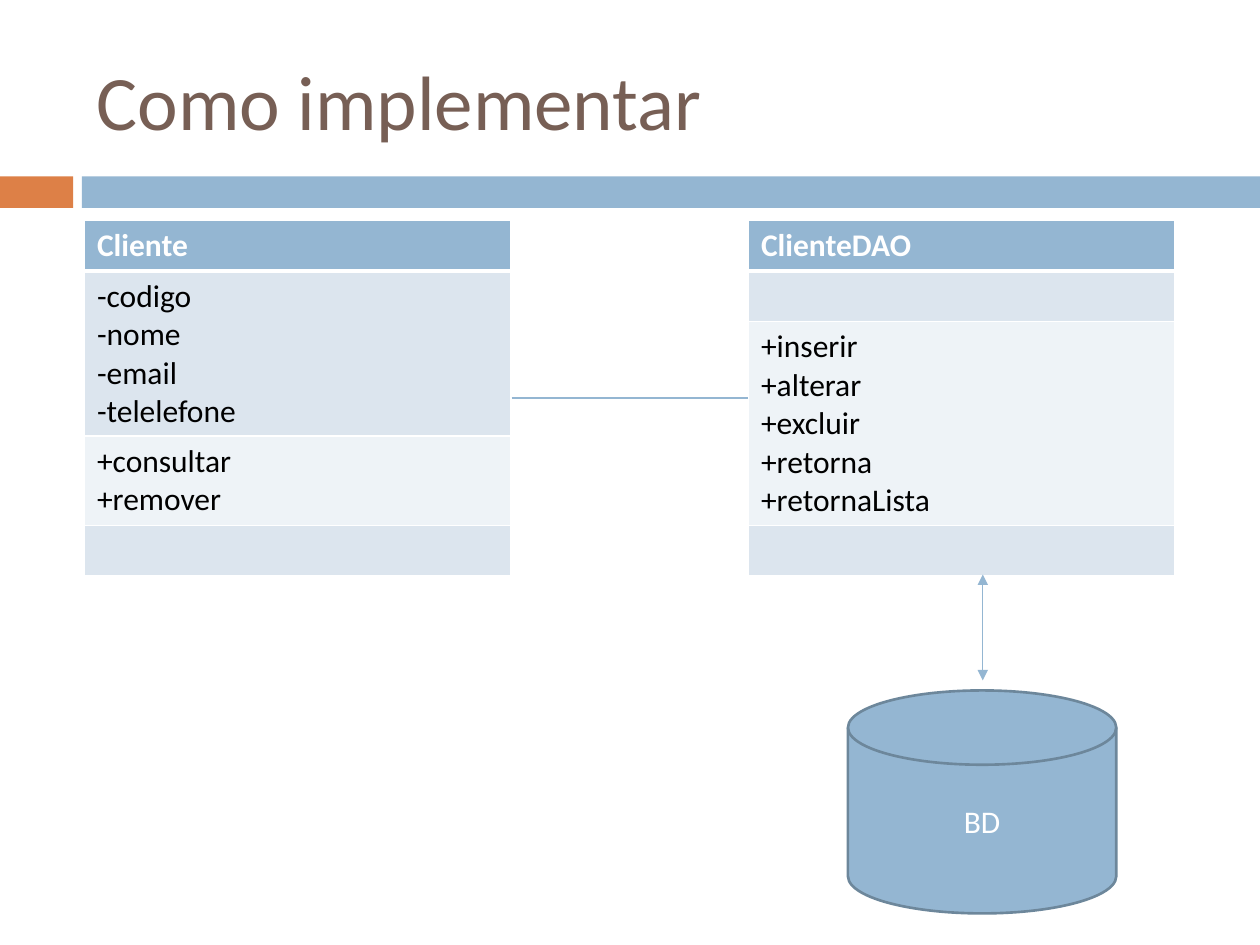
import dataclasses
import pptx
import pptx.util
import pptx.dml.color
import pptx.enum.shapes
import pptx.enum.text
import pptx.oxml
import pptx.oxml.ns

Inches = pptx.util.Inches
Pt = pptx.util.Pt
Color = pptx.dml.color.RGBColor.from_string
Shape = pptx.enum.shapes.MSO_SHAPE
Align = pptx.enum.text.PP_ALIGN
Anchor = pptx.enum.text.MSO_ANCHOR
NS = pptx.oxml.ns.nsdecls("a")


@dataclasses.dataclass(frozen=True)
class Theme:
    font: str = "Calibri"
    title: int = 44
    body: int = 18
    brown: str = "775F55"
    orange: str = "DD8047"
    blue: str = "94B6D2"
    edge: str = "6D879B"
    band: str = "DCE5EE"
    pale: str = "EEF3F7"
    white: str = "FFFFFF"
    black: str = "000000"


theme = Theme()


def write(frame, text, size=theme.body, color=theme.black, bold=False, align=Align.LEFT):
    frame.word_wrap = True
    frame.vertical_anchor = Anchor.MIDDLE
    for i, line in enumerate(text.split("\n")):
        para = frame.paragraphs[0] if i == 0 else frame.add_paragraph()
        para.text = line
        para.alignment = align
        para.font.name = theme.font
        para.font.size = Pt(size)
        para.font.bold = bold
        para.font.color.rgb = Color(color)


def draw(kind, left, top, width, height, fill):
    shape = slide.shapes.add_shape(kind, Inches(left), Inches(top), Inches(width), Inches(height))
    shape.shadow.inherit = False
    shape.fill.solid()
    shape.fill.fore_color.rgb = Color(fill)
    shape.line.fill.background()
    return shape


deck = pptx.Presentation()
deck.slide_width = Inches(10)
deck.slide_height = Inches(7.5)
slide = deck.slides.add_slide(deck.slide_layouts[6])

draw(Shape.RECTANGLE, 0, 1.4, 0.58, 0.25, theme.orange)
draw(Shape.RECTANGLE, 0.65, 1.4, 9.35, 0.25, theme.blue)

title = slide.shapes.add_textbox(Inches(0.67), Inches(0.25), Inches(8.92), Inches(1.08))
write(title.text_frame, "Como implementar", size=theme.title, color=theme.brown)

tables = [
    (0.67, [
        ("Cliente", 0.4),
        ("-codigo\n-nome\n-email\n-telelefone", 1.31),
        ("+consultar\n+remover", 0.71),
        ("", 0.4),
    ]),
    (5.94, [
        ("ClienteDAO", 0.4),
        ("", 0.4),
        ("+inserir\n+alterar\n+excluir\n+retorna\n+retornaLista", 1.62),
        ("", 0.4),
    ]),
]
fills = [theme.blue, theme.band, theme.pale, theme.band]

for left, rows in tables:
    total = sum(height for text, height in rows)
    frame = slide.shapes.add_table(
        len(rows), 1, Inches(left), Inches(1.75), Inches(3.38), Inches(total))
    table = frame.table
    for i, (text, height) in enumerate(rows):
        table.rows[i].height = Inches(height)
        cell = table.cell(i, 0)
        props = cell._tc.get_or_add_tcPr()
        for side in "LRTB":
            thick = (i, side) in [(0, "B"), (1, "T")]
            props.append(pptx.oxml.parse_xml(
                f'<a:ln{side} {NS} w="{Pt(3 if thick else 1)}"><a:solidFill>'
                f'<a:srgbClr val="{theme.white}"/></a:solidFill></a:ln{side}>'))
        cell.fill.solid()
        cell.fill.fore_color.rgb = Color(fills[i])
        head = i == 0
        write(cell.text_frame, text, color=theme.white if head else theme.black, bold=head)
        cell.vertical_anchor = Anchor.TOP

disk = draw(Shape.FLOWCHART_MAGNETIC_DISK, 6.73, 5.48, 2.13, 1.77, theme.blue)
disk.line.color.rgb = Color(theme.edge)
disk.line.width = Pt(1.5)
write(disk.text_frame, "BD", color=theme.white, align=Align.CENTER)

links = [(4.06, 3.16, 5.94, 3.16, False), (7.8, 5.4, 7.8, 4.56, True)]
for x1, y1, x2, y2, arrows in links:
    link = slide.shapes.add_connector(
        pptx.enum.shapes.MSO_CONNECTOR.STRAIGHT, Inches(x1), Inches(y1), Inches(x2), Inches(y2))
    link.line.color.rgb = Color(theme.blue)
    link.line.width = Pt(0.79)
    props = link.element.spPr
    if arrows:
        stroke = props.find(pptx.oxml.ns.qn("a:ln"))
        for end in ("headEnd", "tailEnd"):
            stroke.append(pptx.oxml.parse_xml(f'<a:{end} {NS} type="triangle"/>'))
    props.append(pptx.oxml.parse_xml(f"<a:effectLst {NS}/>"))

deck.save("out.pptx")
